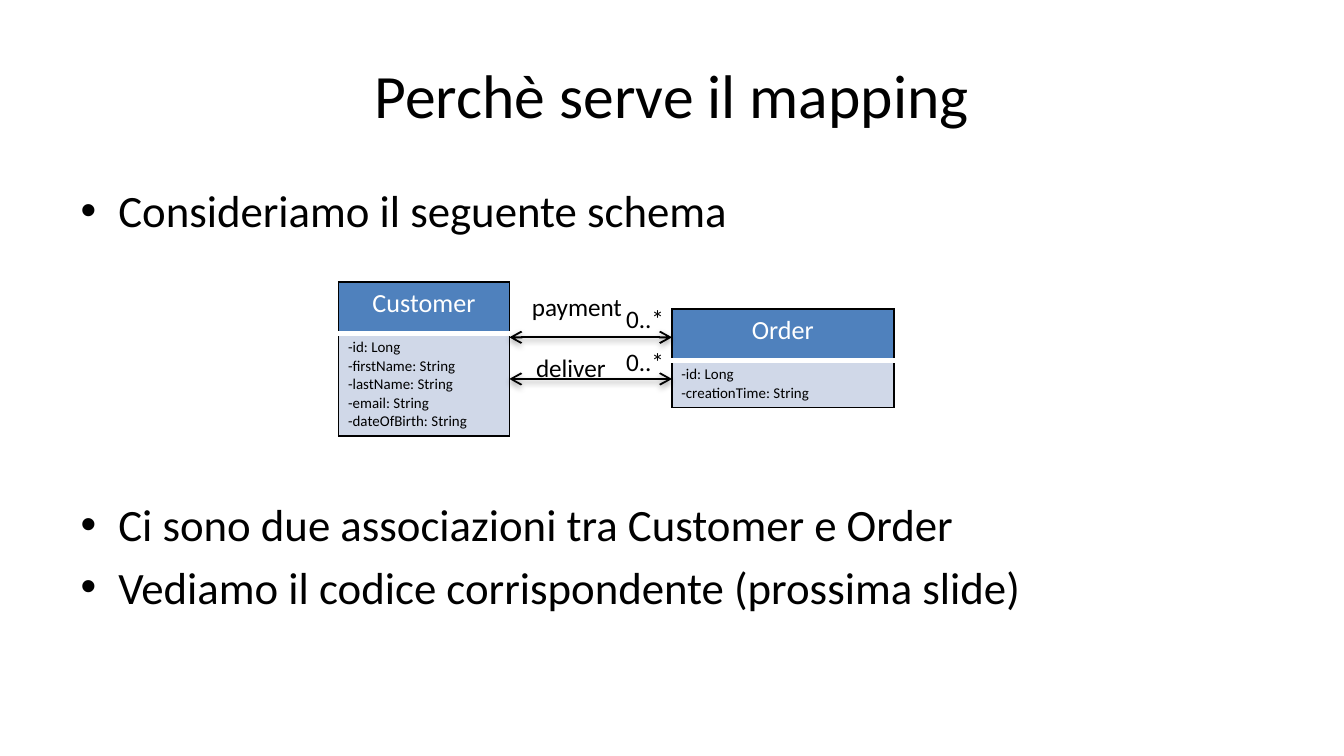
from dataclasses import dataclass

from lxml.etree import SubElement
from pptx import Presentation
from pptx.dml.color import RGBColor
from pptx.enum.shapes import MSO_CONNECTOR as Connector
from pptx.enum.text import MSO_ANCHOR as Anchor, MSO_AUTO_SIZE as AutoSize, PP_ALIGN as Align
from pptx.oxml import parse_xml
from pptx.oxml.ns import nsdecls, qn
from pptx.util import Inches, Pt


@dataclass(frozen=True)
class Theme:
    font: str = "Calibri"
    black: str = "000000"
    white: str = "FFFFFF"
    header: str = "4F81BD"
    body: str = "D0D8E8"
    title_size: float = 33
    list_size: float = 24
    class_size: float = 14
    attribute_size: float = 8
    label_size: float = 13.5


@dataclass(frozen=True)
class ClassBox:
    name: str
    attributes: tuple[str, ...]
    left: float
    top: float
    width: float
    body_height: float


@dataclass(frozen=True)
class Label:
    text: str
    left: float
    top: float
    width: float


THEME = Theme()
SLIDE_WIDTH = 10
SLIDE_HEIGHT = SLIDE_WIDTH * 9 / 16
HEADER_HEIGHT = 0.38
LABEL_HEIGHT = 0.33

# Text and space before each list item, in points
LIST_ITEMS = (
    ("Consideriamo il seguente schema", 4.8),
    ("Ci sono due associazioni tra Customer e Order", 139.5),
    ("Vediamo il codice corrispondente (prossima slide)", 4.8),
)
CUSTOMER = ClassBox(
    "Customer",
    ("-id: Long", "-firstName: String", "-lastName: String",
     "-email: String", "-dateOfBirth: String"),
    2.52, 2.1, 1.27, 0.73,
)
ORDER = ClassBox("Order", ("-id: Long", "-creationTime: String"), 5, 2.3, 1.65, 0.34)
ASSOCIATION_HEIGHTS = (2.51, 2.82)
LABELS = (
    Label("0..*", 4.56, 2.21, 0.49),
    Label("0..*", 4.56, 2.53, 0.49),
    Label("payment", 3.86, 2.12, 0.88),
    Label("deliver", 3.89, 2.57, 0.73),
)


def format_text(paragraph, size: float, color: str = THEME.black) -> None:
    font = paragraph.font
    font.name = THEME.font
    font.size = Pt(size)
    font.bold = False
    font.color.rgb = RGBColor.from_string(color)


def place(shape, left: float, top: float, width: float, height: float) -> None:
    shape.left, shape.top = Inches(left), Inches(top)
    shape.width, shape.height = Inches(width), Inches(height)


def set_borders(cell, top: tuple[str, float], bottom: tuple[str, float]) -> None:
    side = (THEME.black, 1)
    borders = {"lnL": side, "lnR": side, "lnT": top, "lnB": bottom}
    properties = cell._tc.get_or_add_tcPr()
    for index, (tag, (color, width)) in enumerate(borders.items()):
        properties.insert(index, parse_xml(
            f'<a:{tag} {nsdecls("a")} w="{Pt(width)}"><a:solidFill>'
            f'<a:srgbClr val="{color}"/></a:solidFill></a:{tag}>'))


def fill_cell(cell, lines: tuple[str, ...], fill: str, size: float,
              color: str, alignment: Align) -> None:
    cell.fill.solid()
    cell.fill.fore_color.rgb = RGBColor.from_string(fill)
    cell.margin_left = cell.margin_right = Inches(0.07)
    cell.margin_top = cell.margin_bottom = Inches(0.04)
    cell.text_frame.text = "\n".join(lines)
    for paragraph in cell.text_frame.paragraphs:
        paragraph.alignment = alignment
        format_text(paragraph, size, color)


def add_class_box(slide, box: ClassBox) -> None:
    table = slide.shapes.add_table(
        2, 1, Inches(box.left), Inches(box.top), Inches(box.width),
        Inches(HEADER_HEIGHT + box.body_height)).table
    table.first_row = table.horz_banding = False
    table.rows[0].height = Inches(HEADER_HEIGHT)
    table.rows[1].height = Inches(box.body_height)
    header, body = table.cell(0, 0), table.cell(1, 0)
    fill_cell(header, (box.name,), THEME.header, THEME.class_size, THEME.white, Align.CENTER)
    fill_cell(body, box.attributes, THEME.body, THEME.attribute_size, THEME.black, Align.LEFT)
    outline, divider = (THEME.black, 1), (THEME.white, 3)
    set_borders(header, outline, divider)
    set_borders(body, divider, outline)


def add_association(slide, start: float, end: float, height: float) -> None:
    connector = slide.shapes.add_connector(
        Connector.STRAIGHT, Inches(start), Inches(height), Inches(end), Inches(height))
    connector.line.width = Pt(1)
    connector.line.color.rgb = RGBColor.from_string(THEME.black)
    line = connector.line._get_or_add_ln()
    for tag in ("a:headEnd", "a:tailEnd"):
        SubElement(line, qn(tag), type="arrow")
    connector._element.spPr.append(parse_xml(
        f'<a:effectLst {nsdecls("a")}><a:outerShdw blurRad="{Pt(3.1)}" '
        f'dist="{Pt(1.6)}" dir="5400000" rotWithShape="0">'
        f'<a:srgbClr val="{THEME.black}"><a:alpha val="38000"/></a:srgbClr>'
        '</a:outerShdw></a:effectLst>'))


def add_label(slide, label: Label) -> None:
    frame = slide.shapes.add_textbox(
        Inches(label.left), Inches(label.top),
        Inches(label.width), Inches(LABEL_HEIGHT)).text_frame
    frame.word_wrap = False
    frame.auto_size = AutoSize.SHAPE_TO_FIT_TEXT
    frame.text = label.text
    format_text(frame.paragraphs[0], THEME.label_size)


def add_title(slide, text: str) -> None:
    title = slide.shapes.title
    place(title, 0.5, 0.23, 9, 0.94)
    frame = title.text_frame
    frame.auto_size = AutoSize.NONE
    frame.vertical_anchor = Anchor.MIDDLE
    frame.text = text
    frame.paragraphs[0].alignment = Align.CENTER
    format_text(frame.paragraphs[0], THEME.title_size)


def add_list(slide) -> None:
    body = slide.placeholders[1]
    place(body, 0.5, 1.31, 9, 3.71)
    frame = body.text_frame
    frame.auto_size = AutoSize.NONE
    frame.text = "\n".join(text for text, _ in LIST_ITEMS)
    for paragraph, (_, space) in zip(frame.paragraphs, LIST_ITEMS):
        paragraph.space_before = Pt(space)
        format_text(paragraph, THEME.list_size)
        properties = paragraph._p.get_or_add_pPr()
        properties.set("marL", str(Inches(0.28)))
        properties.set("indent", str(Inches(-0.28)))


def main() -> None:
    presentation = Presentation()
    presentation.slide_width = Inches(SLIDE_WIDTH)
    presentation.slide_height = Inches(SLIDE_HEIGHT)
    slide = presentation.slides.add_slide(presentation.slide_layouts[1])

    # Title and list
    add_title(slide, "Perchè serve il mapping")
    add_list(slide)

    # Class diagram
    for box in (CUSTOMER, ORDER):
        add_class_box(slide, box)
    for height in ASSOCIATION_HEIGHTS:
        add_association(slide, CUSTOMER.left + CUSTOMER.width, ORDER.left, height)
    for label in LABELS:
        add_label(slide, label)

    presentation.save("out.pptx")


if __name__ == "__main__":
    main()
